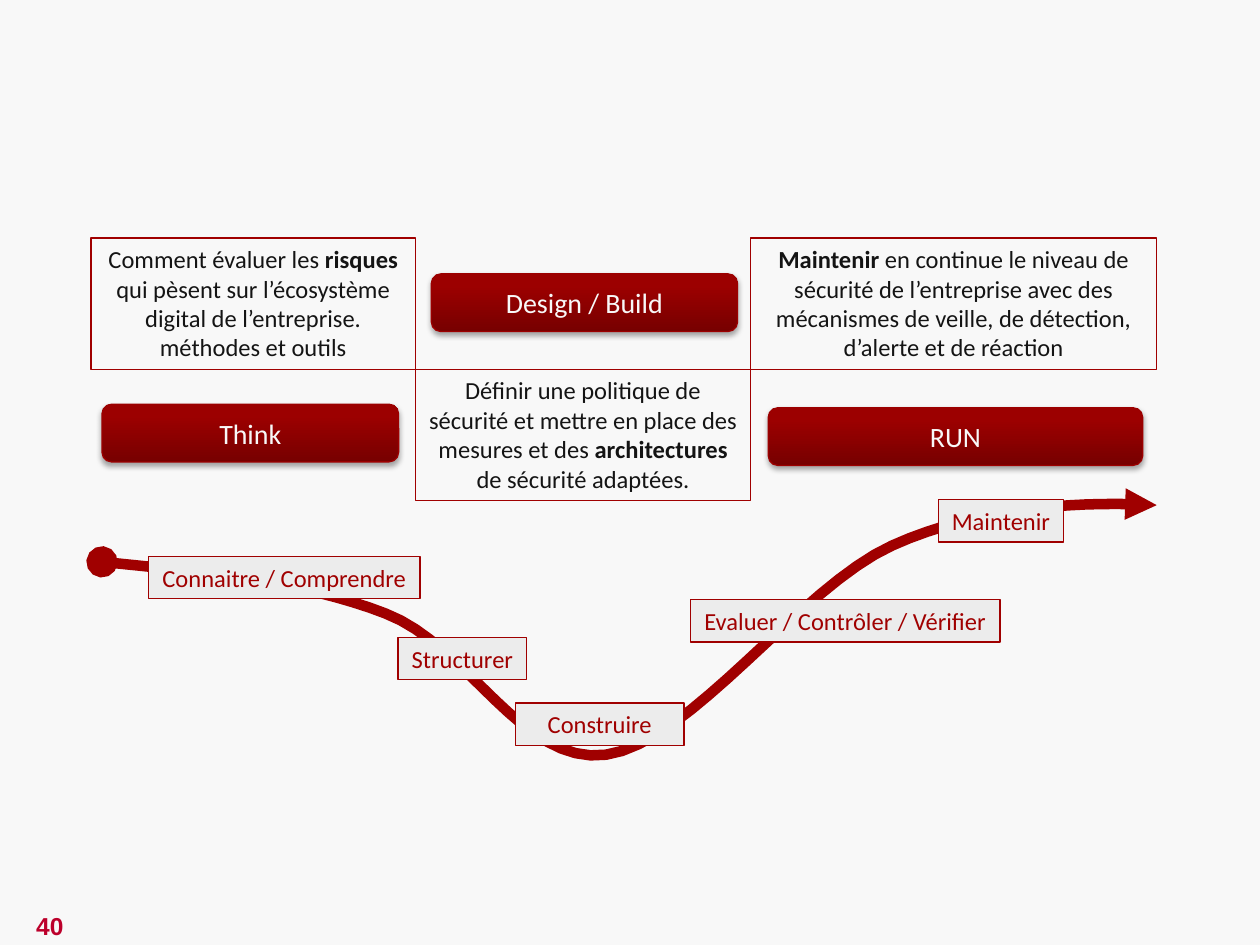
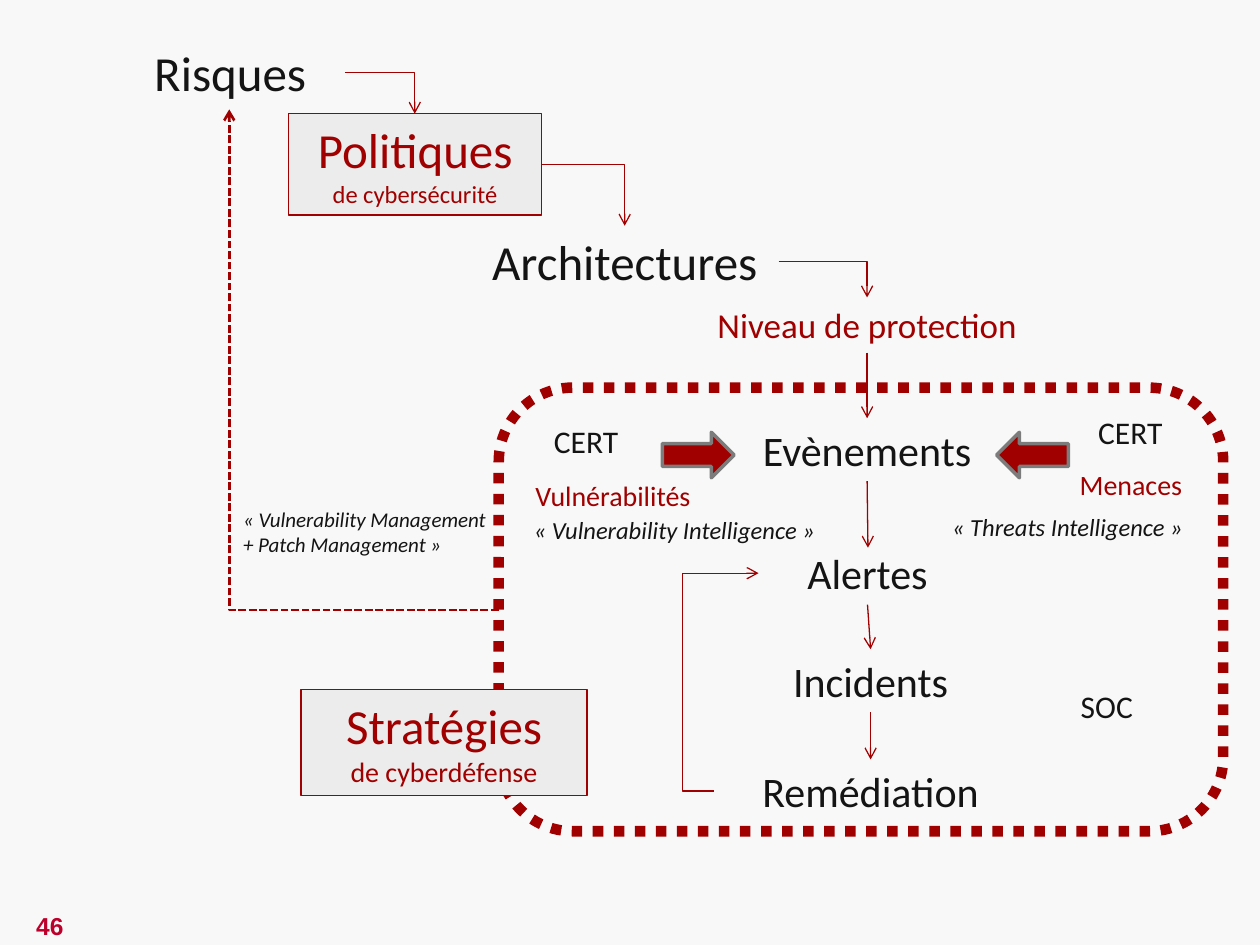
from dataclasses import dataclass
from itertools import pairwise
from typing import NamedTuple

from lxml.etree import SubElement
from pptx import Presentation
from pptx.dml.color import RGBColor
from pptx.enum.dml import MSO_LINE
from pptx.enum.shapes import MSO_CONNECTOR, MSO_SHAPE
from pptx.enum.text import MSO_ANCHOR, MSO_AUTO_SIZE, PP_ALIGN
from pptx.oxml.ns import qn
from pptx.util import Pt

RED = "A00000"
INK = "141414"
PAPER = "F8F8F8"
PANEL = "ECECEC"
BUTTON_DARK, BUTTON_LIGHT = "770000", "9C0000"
ARROW_EDGE = "7C7C7C"
NUMBER_RED = "BC002B"
CURVE_STEPS = 16


class Box(NamedTuple):
    left: float
    top: float
    width: float
    height: float


class Point(NamedTuple):
    x: float
    y: float


@dataclass
class Label:
    """Text in a box; lines are split by newlines and bold parts sit between asterisks."""
    text: str
    box: Box
    sizes: tuple = (14,)
    colour: str = INK
    fill: str | None = None
    framed: bool = False
    wrap: bool = True
    centred: bool = True
    italic: bool = False
    bold: bool = False
    font: str = "Calibri"


@dataclass
class Elbow:
    start: Point
    end: Point
    preset: str = "bentConnector2"
    width: float = 0.75
    dash: MSO_LINE | None = None
    bend: int | None = None


def rgb(colour: str) -> RGBColor:
    return RGBColor.from_string(colour)


def place(box: Box) -> list:
    return [Pt(length) for length in box]


def set_line(shape, colour: str, width: float, dash=None) -> None:
    shape.line.color.rgb = rgb(colour)
    shape.line.width = Pt(width)
    if dash is not None:
        shape.line.dash_style = dash


def set_ends(shape, **ends: str) -> None:
    """Add headEnd and tailEnd markers, given in that order."""
    outline = shape._element.spPr.find(qn("a:ln"))
    for end, kind in ends.items():
        SubElement(outline, qn(f"a:{end}")).set("type", kind)


def add_preset(slide, preset: MSO_SHAPE, box: Box):
    shape = slide.shapes.add_shape(preset, *place(box))
    shape.shadow.inherit = False
    return shape


def add_label(slide, label: Label):
    if label.framed:
        shape = add_preset(slide, MSO_SHAPE.RECTANGLE, label.box)
        set_line(shape, RED, 0.75)
        if label.fill:
            shape.fill.solid()
            shape.fill.fore_color.rgb = rgb(label.fill)
        else:
            shape.fill.background()
    else:
        shape = slide.shapes.add_textbox(*place(label.box))
    frame = shape.text_frame
    frame.word_wrap = label.wrap
    frame.auto_size = MSO_AUTO_SIZE.SHAPE_TO_FIT_TEXT
    frame.vertical_anchor = MSO_ANCHOR.TOP
    lines = label.text.split("\n")
    frame.text = "\n".join("" if "*" in line else line for line in lines)
    for index, (paragraph, line) in enumerate(zip(frame.paragraphs, lines)):
        paragraph.alignment = PP_ALIGN.CENTER if label.centred else PP_ALIGN.LEFT
        if "*" in line:
            for order, part in enumerate(line.split("*")):
                if part:
                    run = paragraph.add_run()
                    run.text = part
                    run.font.bold = order % 2 == 1
        for run in paragraph.runs:
            run.font.name = label.font
            run.font.size = Pt(label.sizes[min(index, len(label.sizes) - 1)])
            run.font.color.rgb = rgb(label.colour)
            run.font.italic = label.italic
            if label.bold:
                run.font.bold = True
    return shape


def add_phase(slide, name: str, box: Box) -> None:
    button = add_preset(slide, MSO_SHAPE.ROUNDED_RECTANGLE, box)
    button.fill.gradient()
    button.fill.gradient_angle = 90
    stops = button.fill.gradient_stops
    for stop, position, colour in zip(stops, (0, 0.8), (BUTTON_DARK, BUTTON_LIGHT)):
        stop.position = position
        stop.color.rgb = rgb(colour)
    set_line(button, BUTTON_LIGHT, 0.75)
    effects = button._element.spPr.find(qn("a:effectLst"))
    shadow = SubElement(effects, qn("a:outerShdw"), blurRad=str(Pt(3.1)), dist=str(Pt(1.8)),
                        dir="5400000", rotWithShape="0")
    black = SubElement(shadow, qn("a:srgbClr"), val="000000")
    SubElement(black, qn("a:alpha"), val="35000")
    frame = button.text_frame
    frame.text = name
    frame.vertical_anchor = MSO_ANCHOR.MIDDLE
    paragraph = frame.paragraphs[0]
    paragraph.alignment = PP_ALIGN.CENTER
    font = paragraph.runs[0].font
    font.name, font.size, font.color.rgb = "Calibri", Pt(16), rgb(PAPER)


def add_arrow(slide, kind: MSO_CONNECTOR, start: Point, end: Point, width=0.75, dash=None):
    arrow = slide.shapes.add_connector(kind, *(Pt(length) for length in (*start, *end)))
    set_line(arrow, RED, width, dash)
    SubElement(arrow._element.spPr, qn("a:effectLst"))
    set_ends(arrow, tailEnd="arrow")
    return arrow


def add_elbow(slide, elbow: Elbow) -> None:
    """Draw a bent arrow; one that climbs is laid out backwards and turned half round."""
    climbs = elbow.end.y < elbow.start.y
    ends = (elbow.end, elbow.start) if climbs else (elbow.start, elbow.end)
    arrow = add_arrow(slide, MSO_CONNECTOR.ELBOW, *ends, elbow.width, elbow.dash)
    properties = arrow._element.spPr
    if climbs:
        properties.find(qn("a:xfrm")).set("rot", "10800000")
    geometry = properties.find(qn("a:prstGeom"))
    geometry.set("prst", elbow.preset)
    if elbow.bend is not None:
        guides = geometry.find(qn("a:avLst"))
        if guides is None:
            guides = SubElement(geometry, qn("a:avLst"))
        SubElement(guides, qn("a:gd"), name="adj1", fmla=f"val {elbow.bend}")


def bezier(a: Point, b: Point, c: Point, d: Point, t: float) -> Point:
    weights = ((1 - t) ** 3, 3 * t * (1 - t) ** 2, 3 * t ** 2 * (1 - t), t ** 3)
    return Point(*(sum(w * v for w, v in zip(weights, axis)) for axis in zip(a, b, c, d)))


def add_journey(slide, knots: list) -> None:
    """Draw the smooth path; knots hold a start, then three control points per segment."""
    points = [bezier(*knots[first:first + 4], step / CURVE_STEPS)
              for first in range(0, len(knots) - 1, 3)
              for step in range(1, CURVE_STEPS + 1)]
    builder = slide.shapes.build_freeform(Pt(knots[0].x), Pt(knots[0].y))
    builder.add_line_segments([(Pt(x), Pt(y)) for x, y in points], close=False)
    journey = builder.convert_to_shape()
    journey.shadow.inherit = False
    journey.fill.background()
    set_line(journey, RED, 6)
    set_ends(journey, headEnd="oval", tailEnd="triangle")


def new_slide(deck, number: int):
    slide = deck.slides.add_slide(deck.slide_layouts[6])
    add_label(slide, Label(str(number), Box(-1.5, 517, 60, 24.5), colour=NUMBER_RED,
                           bold=True, font="Arial"))
    return slide


def build_phases(deck) -> None:
    slide = new_slide(deck, 40)
    add_journey(slide, [Point(*knot) for knot in (
        (58.3, 321.1), (114.5, 326.9), (172.1, 331.9), (220.3, 350.6),
        (267.8, 368.6), (298.1, 437.8), (346.3, 431.3),
        (394.6, 424.8), (457.2, 335.5), (509.8, 311.8),
        (562.3, 288), (623.5, 286.6), (661, 288.7))])

    goals = (
        "Comment évaluer les *risques* qui pèsent sur l’écosystème digital de l’entreprise. "
        "méthodes et outils",
        "Définir une politique de sécurité et mettre en place des mesures et des "
        "*architectures* de sécurité adaptées.",
        "*Maintenir* en continue le niveau de sécurité de l’entreprise avec des mécanismes "
        "de veille, de détection, d’alerte et de réaction",
    )
    column_edges = (52, 237.5, 429, 661)
    for column, (goal, (left, right)) in enumerate(zip(goals, pairwise(column_edges))):
        top = 136 + 75 * (column % 2)
        add_label(slide, Label(goal, Box(left, top, right - left, 75), framed=True))

    for step, left, top, width in (
        ("Connaitre / Comprendre", 85, 318, 155),
        ("Structurer", 227.5, 364.3, 73.5),
        ("Construire", 294.5, 401.8, 96.5),
        ("Evaluer / Contrôler / Vérifier", 394.5, 342.7, 177),
        ("Maintenir", 536.3, 285.5, 71.5),
    ):
        add_label(slide, Label(step, Box(left, top, width, 24.2), colour=RED, fill=PANEL,
                               framed=True, wrap=False))

    for phase, left, top, width in (("Think", 58.3, 231, 169.5),
                                    ("Design / Build", 246.5, 156.5, 175),
                                    ("RUN", 439, 233, 214)):
        add_phase(slide, phase, Box(left, top, width, 33))


def build_risk_chain(deck) -> None:
    slide = new_slide(deck, 46)

    perimeter = add_preset(slide, MSO_SHAPE.ROUNDED_RECTANGLE, Box(285, 221.5, 414, 253.5))
    perimeter.fill.background()
    set_line(perimeter, RED, 6, MSO_LINE.ROUND_DOT)

    for left, turn in ((378.5, 0), (569.5, 180)):
        inflow = add_preset(slide, MSO_SHAPE.RIGHT_ARROW, Box(left, 247, 41, 26))
        inflow.rotation = turn
        inflow.fill.solid()
        inflow.fill.fore_color.rgb = rgb(RED)
        set_line(inflow, ARROW_EDGE, 2)

    for label in (
        Label("Risques", Box(65.5, 21, 132, 41), (28,)),
        Label("Architectures", Box(269, 129, 176, 41), (28,)),
        Label("Vulnérabilités", Box(247, 270, 206.5, 26.6), (16,), RED),
        Label("Menaces", Box(580.5, 263.5, 131.5, 26.6), (16,), RED),
        Label("Politiques\nde cybersécurité", Box(165, 65, 144.5, 58), (28, 14), RED,
              PANEL, framed=True),
        Label("Stratégies\nde cyberdéfense", Box(172, 394, 163.5, 60.5), (28, 16), RED,
              PANEL, framed=True),
    ):
        add_label(slide, label)

    for text, size, box, italic in (
        ("« Vulnerability Management\n+ Patch Management »", 12, Box(131.8, 286, 154, 36), True),
        ("« Threats Intelligence »", 14, Box(537, 289, 147.5, 24.2), True),
        ("« Vulnerability Intelligence »", 14, Box(298, 290.5, 177, 24.2), True),
        ("CERT", 18, Box(309.5, 237.5, 52, 29), False),
        ("CERT", 18, Box(620.5, 232.5, 52, 29), False),
        ("SOC", 18, Box(610.5, 389, 44.5, 29), False),
    ):
        add_label(slide, Label(text, box, (size,), wrap=False, centred=False, italic=italic))

    protection = add_label(slide, Label("Niveau de protection", Box(331, 170, 329, 31.5),
                                        (20,), RED))
    events, alerts, incidents, remediation = (
        add_label(slide, Label(text, Box(left, top, width, 36), (24,)))
        for text, left, top, width in (("Evènements", 401, 239, 189),
                                       ("Alertes", 433.5, 309.5, 124.5),
                                       ("Incidents", 389.5, 371, 216),
                                       ("Remédiation", 408, 434, 179)))
    to_alerts = add_arrow(slide, MSO_CONNECTOR.STRAIGHT, Point(495.5, 275), Point(496, 313))
    to_alerts.begin_connect(events, 2)
    for source, target in ((protection, events), (alerts, incidents), (incidents, remediation)):
        arrow = add_arrow(slide, MSO_CONNECTOR.STRAIGHT, Point(0, 0), Point(0, 0))
        arrow.begin_connect(source, 2)
        arrow.end_connect(target, 0)

    for elbow in (
        Elbow(Point(197, 41.5), Point(237, 65)),
        Elbow(Point(309.5, 94), Point(357, 129)),
        Elbow(Point(445, 149.5), Point(495.5, 170)),
        Elbow(Point(285, 348.5), Point(131, 62.5), width=1.5, dash=MSO_LINE.SQUARE_DOT),
        Elbow(Point(408, 452), Point(433.5, 327.5), "bentConnector3", bend=-71200),
    ):
        add_elbow(slide, elbow)


def main() -> None:
    deck = Presentation()
    deck.slide_width, deck.slide_height = Pt(720), Pt(540)
    background = deck.slide_master.background.fill
    background.solid()
    background.fore_color.rgb = rgb(PAPER)
    build_phases(deck)
    build_risk_chain(deck)
    deck.save("out.pptx")


if __name__ == "__main__":
    main()
